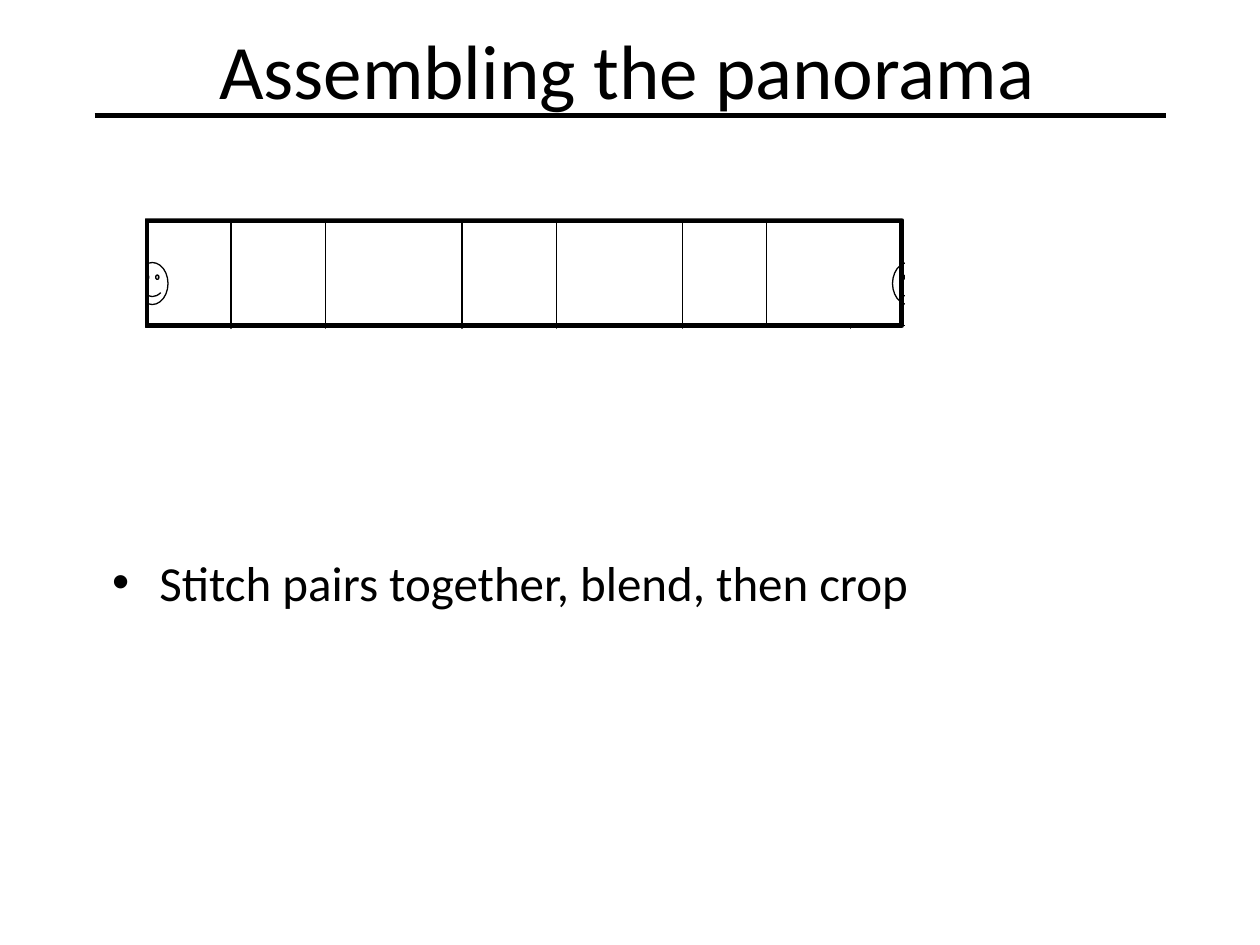
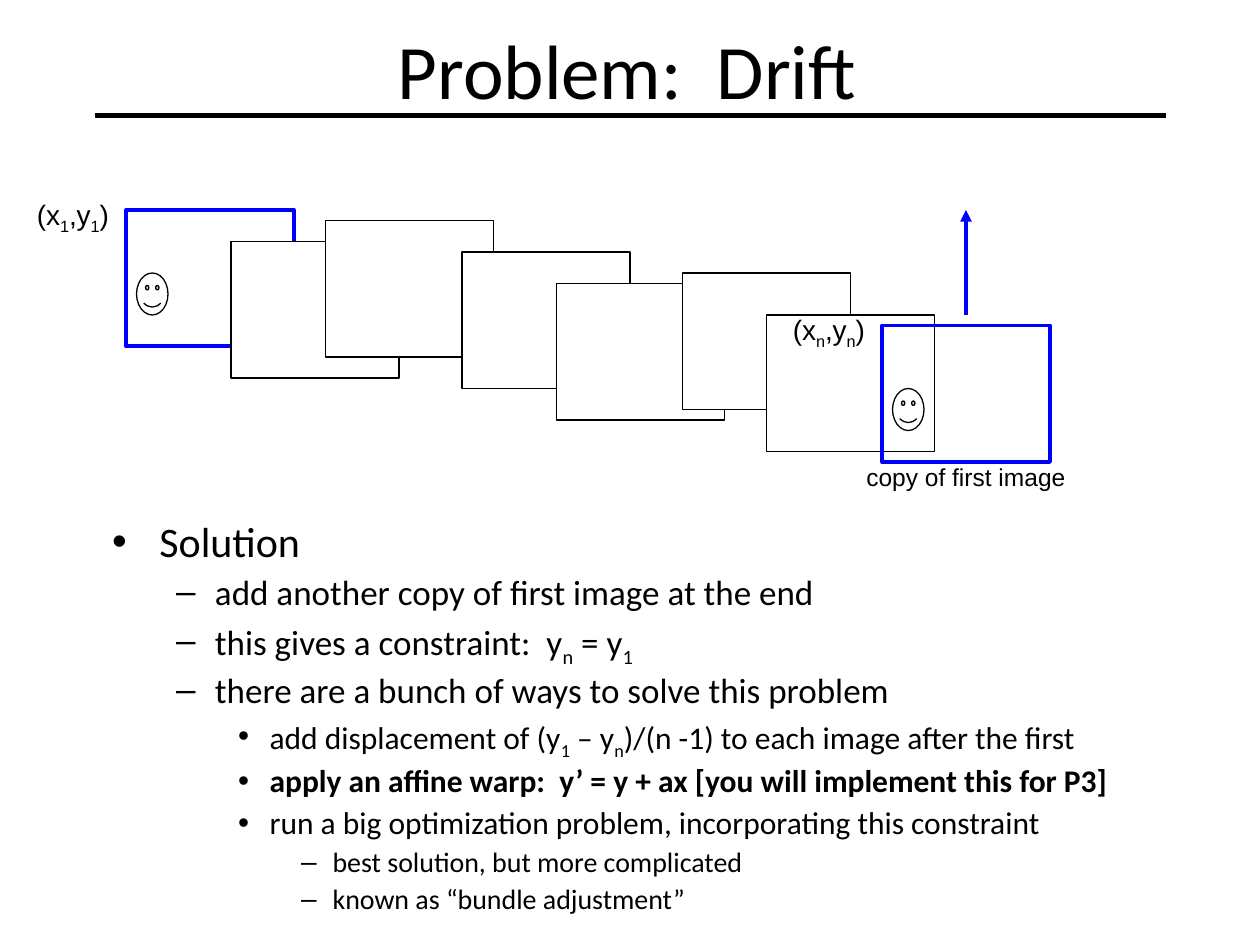
"""Build two slides on panorama stitching: assembling the strip and fixing drift."""
from lxml import etree
from pptx import Presentation
from pptx.dml.color import RGBColor
from pptx.enum.shapes import MSO_CONNECTOR, MSO_SHAPE
from pptx.enum.text import MSO_ANCHOR, PP_ALIGN
from pptx.oxml.ns import qn
from pptx.util import Pt

PX = 7620
BLACK = RGBColor(0x00, 0x00, 0x00)
WHITE = RGBColor(0xFF, 0xFF, 0xFF)
BLUE = RGBColor(0x00, 0x00, 0xFF)
RECT, SMILEY = MSO_SHAPE.RECTANGLE, MSO_SHAPE.SMILEY_FACE
STRAIGHT = MSO_CONNECTOR.STRAIGHT
CENTER, MIDDLE = PP_ALIGN.CENTER, MSO_ANCHOR.MIDDLE

TITLE_BOX = (90, 0, 1020, 130)
TITLE_RULE = (90, 110, 1110, 110)
BODY_INSETS = (12, 6, 17, 6)
LABEL_INSETS = (0, 0, 5, 0)

THIN, THICK, MEDIUM_BLUE = (BLACK, 0.75), (BLACK, 3), (BLUE, 2.25)
TILE_SIZE, FACE_SIZE = (160, 130), (30, 40)
TILE_LEFTS = [120, 220, 310, 440, 530, 650, 730]

LEVELS = [
    {"bullet": "•", "size": 24, "margin": 50, "hang": 45},
    {"bullet": "–", "size": 20, "margin": 103, "hang": 37},
    {"bullet": "•", "size": 18, "margin": 155, "hang": 30},
    {"bullet": "–", "size": 16, "margin": 215, "hang": 30},
]

PANORAMA = {
    "title": "Assembling the panorama",
    "tile_tops": [200, 210, 200, 210, 200, 210, 180],
    "first_line": THIN,
    "faces": [(130, 250), (850, 250)],
    "body_box": (90, 520, 1050, 380),
    "body": [(0, "Stitch pairs together, blend, then crop", {"size": 28, "spacing": 1})],
}
CROP_FRAME = (139, 210, 720, 100)
RIGHT_MASK = (862, 205, 40, 125)
OUTER_MASKS = [(98, 200, 40, 130), (109, 168, 790, 40), (109, 313, 790, 40)]

DRIFT = {
    "title": "Problem:  Drift",
    "tile_tops": [200, 230, 210, 240, 270, 260, 300],
    "first_line": MEDIUM_BLUE,
    "faces": [(130, 260), (850, 370)],
    "body_box": (90, 490, 1020, 390),
    "body": [
        (0, "Solution", {}),
        (1, "add another copy of first image at the end", {}),
        (1, "this gives a constraint:  y_n_ = y_1_", {}),
        (1, "there are a bunch of ways to solve this problem", {}),
        (2, "add displacement of (y_1_ – y_n_)/(n -1) to each image after the first", {}),
        (2, "apply an affine warp:  y’ = y + ax [you will implement this for P3]", {"bold": True}),
        (2, "run a big optimization problem, incorporating this constraint", {}),
        (3, "best solution, but more complicated", {}),
        (3, "known as “bundle adjustment”", {}),
    ],
}
IMAGE_COPY = (840, 310, *TILE_SIZE)
DRIFT_ARROW = (920, 300, 920, 200)
LABELS = [
    ("(x_1_,y_1_)", (30, 188, 112, 48), 16, 9),
    ("copy of first image", (820, 440, 232, 40), 14, 3),
    ("(x_n_,y_n_)", (750, 298, 112, 48), 16, 9),
]


def emu(lengths):
    return [v * PX for v in lengths]


def add_shape(slide, kind, box, fill=WHITE, line=None):
    s = slide.shapes.add_shape(kind, *emu(box))
    s.shadow.inherit = False
    if fill is None:
        s.fill.background()
    else:
        s.fill.solid()
        s.fill.fore_color.rgb = fill
    if line is None:
        s.line.fill.background()
    else:
        s.line.color.rgb, s.line.width = line[0], Pt(line[1])


def add_line(slide, ends, line, arrow=False):
    c = slide.shapes.add_connector(STRAIGHT, *emu(ends))
    c.line.color.rgb, c.line.width = line[0], Pt(line[1])
    if arrow:
        ln = c._element.spPr.find(qn("a:ln"))
        etree.SubElement(ln, qn("a:tailEnd"), type="triangle")
    etree.SubElement(c._element.spPr, qn("a:effectLst"))


def add_frame(slide, box, insets):
    tf = slide.shapes.add_textbox(*emu(box)).text_frame
    tf.word_wrap = True
    sides = ("margin_left", "margin_top", "margin_right", "margin_bottom")
    for side, inset in zip(sides, emu(insets)):
        setattr(tf, side, inset)
    return tf


def add_runs(p, text, size, font="Calibri", bold=False):
    for i, piece in enumerate(text.split("_")):
        if not piece:
            continue
        r = p.add_run()
        r.text = piece
        r.font.color.rgb = BLACK
        for name, value in {"name": font, "size": Pt(size), "bold": bold}.items():
            setattr(r.font, name, value)
        if i % 2:
            r._r.get_or_add_rPr().set("baseline", "-25000")


def indent(p, margin, hang=0):
    pPr = p._p.get_or_add_pPr()
    pPr.set("marL", str(margin * PX))
    pPr.set("indent", str(-hang * PX))
    return pPr


def add_title(slide, text):
    add_line(slide, TITLE_RULE, THICK)
    tf = add_frame(slide, TITLE_BOX, BODY_INSETS)
    tf.vertical_anchor = MIDDLE
    p = tf.paragraphs[0]
    p.alignment = CENTER
    add_runs(p, text, 44)


def add_body(slide, box, items):
    tf = add_frame(slide, box, BODY_INSETS)
    for i, (level, text, extra) in enumerate(items):
        style = {**LEVELS[level], "spacing": 0.9, "bold": False, **extra}
        p = tf.add_paragraph() if i else tf.paragraphs[0]
        p.level = level
        p.line_spacing = style["spacing"]
        p.space_before = Pt(style["size"] / 4)
        pPr = indent(p, style["margin"], style["hang"])
        etree.SubElement(pPr, qn("a:buFont"), typeface="Arial")
        etree.SubElement(pPr, qn("a:buChar"), char=style["bullet"])
        add_runs(p, text, style["size"], bold=style["bold"])


def add_label(slide, text, box, size, before):
    p = add_frame(slide, box, LABEL_INSETS).paragraphs[0]
    p.space_before = Pt(before)
    indent(p, 5)
    add_runs(p, text, size, "Arial")


def add_slide(prs, content):
    slide = prs.slides.add_slide(prs.slide_layouts[6])
    add_title(slide, content["title"])
    add_body(slide, content["body_box"], content["body"])
    for i, corner in enumerate(zip(TILE_LEFTS, content["tile_tops"])):
        line = THIN if i else content["first_line"]
        add_shape(slide, RECT, (*corner, *TILE_SIZE), line=line)
    for corner in content["faces"]:
        add_shape(slide, SMILEY, (*corner, *FACE_SIZE), line=THIN)
    return slide


def main():
    prs = Presentation()
    prs.slide_width, prs.slide_height = emu((1200, 900))

    panorama = add_slide(prs, PANORAMA)
    add_shape(panorama, RECT, RIGHT_MASK)
    add_shape(panorama, RECT, CROP_FRAME, fill=None, line=THICK)
    for mask in OUTER_MASKS:
        add_shape(panorama, RECT, mask)

    drift = add_slide(prs, DRIFT)
    add_line(drift, DRIFT_ARROW, MEDIUM_BLUE, arrow=True)
    add_shape(drift, RECT, IMAGE_COPY, fill=None, line=MEDIUM_BLUE)
    for label in LABELS:
        add_label(drift, *label)

    prs.save("out.pptx")


if __name__ == "__main__":
    main()
